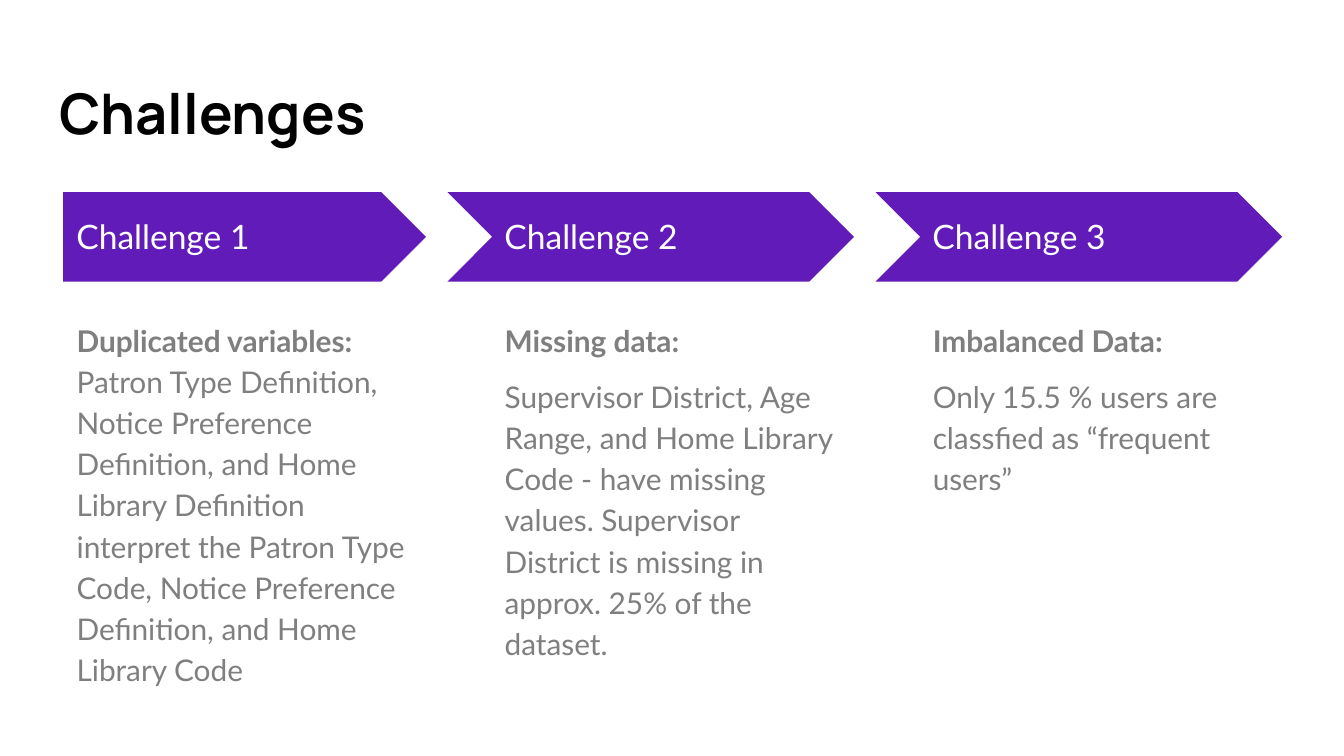
from lxml import etree
from pptx import Presentation
from pptx.dml.color import RGBColor
from pptx.enum.shapes import MSO_SHAPE
from pptx.enum.text import MSO_ANCHOR, MSO_AUTO_SIZE, PP_ALIGN
from pptx.oxml.ns import qn
from pptx.util import Pt

PENTAGON, CHEVRON = MSO_SHAPE.PENTAGON, MSO_SHAPE.CHEVRON
TOP, MIDDLE = MSO_ANCHOR.TOP, MSO_ANCHOR.MIDDLE
NONE, LEFT = MSO_AUTO_SIZE.NONE, PP_ALIGN.LEFT

PURPLE = RGBColor(0x61, 0x1B, 0xB8)
GRAY = RGBColor(0x7F, 0x7F, 0x7F)
WHITE = RGBColor(0xFF, 0xFF, 0xFF)
BLACK = RGBColor(0, 0, 0)

PX = 4572
PAD = 20
STEP, NOTCH = 637, 65

COLUMNS = [
    ("Challenge 1", [[
        ("Duplicated variables: ", True),
        ("Patron Type Definition, Notice Preference Definition, and Home "
         "Library Definition interpret the Patron Type Code, Notice "
         "Preference Definition, and Home Library Code", False)]]),
    ("Challenge 2", [
        [("Missing data:", True)],
        [("Supervisor District, Age Range, and Home Library Code - have "
          "missing values. Supervisor District is missing in approx. 25% "
          "of the dataset.", False)]]),
    ("Challenge 3", [
        [("Imbalanced Data:", True)],
        [("Only 15.5 % users are classfied as “frequent users”", False)]]),
]


def place(shape, x, y, w, h):
    shape.left, shape.top = x * PX, y * PX
    shape.width, shape.height = w * PX, h * PX


def write(shape, paras, size, color, font="Lato", anchor=TOP, line=1, gap=0):
    frame = shape.text_frame
    frame.word_wrap = True
    frame.auto_size = NONE
    frame.vertical_anchor = anchor
    frame.margin_left = frame.margin_right = PAD * PX
    frame.margin_top = frame.margin_bottom = PAD * PX
    for i, runs in enumerate(paras):
        para = frame.add_paragraph() if i else frame.paragraphs[0]
        para.alignment = LEFT
        para.line_spacing = line
        para.space_before = Pt(gap if i else 0)
        para.space_after = Pt(0)
        props = para._p.get_or_add_pPr()
        props.set("marL", "0")
        props.set("indent", "0")
        etree.SubElement(props, qn("a:buNone"))
        for text, bold in runs:
            run = para.add_run()
            run.text = text
            run.font.name, run.font.size = font, Pt(size)
            run.font.bold = bold
            run.font.color.rgb = color


def header(title, x, y, w, h):
    place(title, x, y, w, h)
    write(title, [[("Challenges", True)]], 30, BLACK, font="Manrope")


def column(slide, body, label, paras, first, x, y, w):
    kind, inset = (PENTAGON, 0) if first else (CHEVRON, NOTCH)
    arrow = slide.shapes.add_shape(kind, 0, 0, 0, 0)
    place(arrow, x - inset, y, w + inset, 133)
    arrow.adjustments[0] = 0.5
    arrow.shadow.inherit = False
    arrow.fill.solid()
    arrow.fill.fore_color.rgb = PURPLE
    arrow.line.fill.background()
    name = slide.shapes.add_textbox(0, 0, 0, 0)
    place(name, x, y + 32, 494, 68)
    write(name, [[(label, False)]], 18, WHITE, anchor=MIDDLE)
    place(body, x, y + 166, w, 580)
    write(body, paras, 16, GRAY, line=1.15, gap=8)


def main():
    deck = Presentation()
    deck.slide_width, deck.slide_height = 2000 * PX, 1125 * PX
    slide = deck.slides.add_slide(deck.slide_layouts[4])
    title, *bodies = slide.placeholders
    header(title, 68, 97, 1864, 136)
    for i, (label, paras) in enumerate(COLUMNS):
        column(slide, bodies[i], label, paras, i == 0, 94 + i * STEP, 286, 540)
    for spare in bodies[len(COLUMNS):]:
        spare._element.getparent().remove(spare._element)
    deck.save("out.pptx")


if __name__ == "__main__":
    main()
